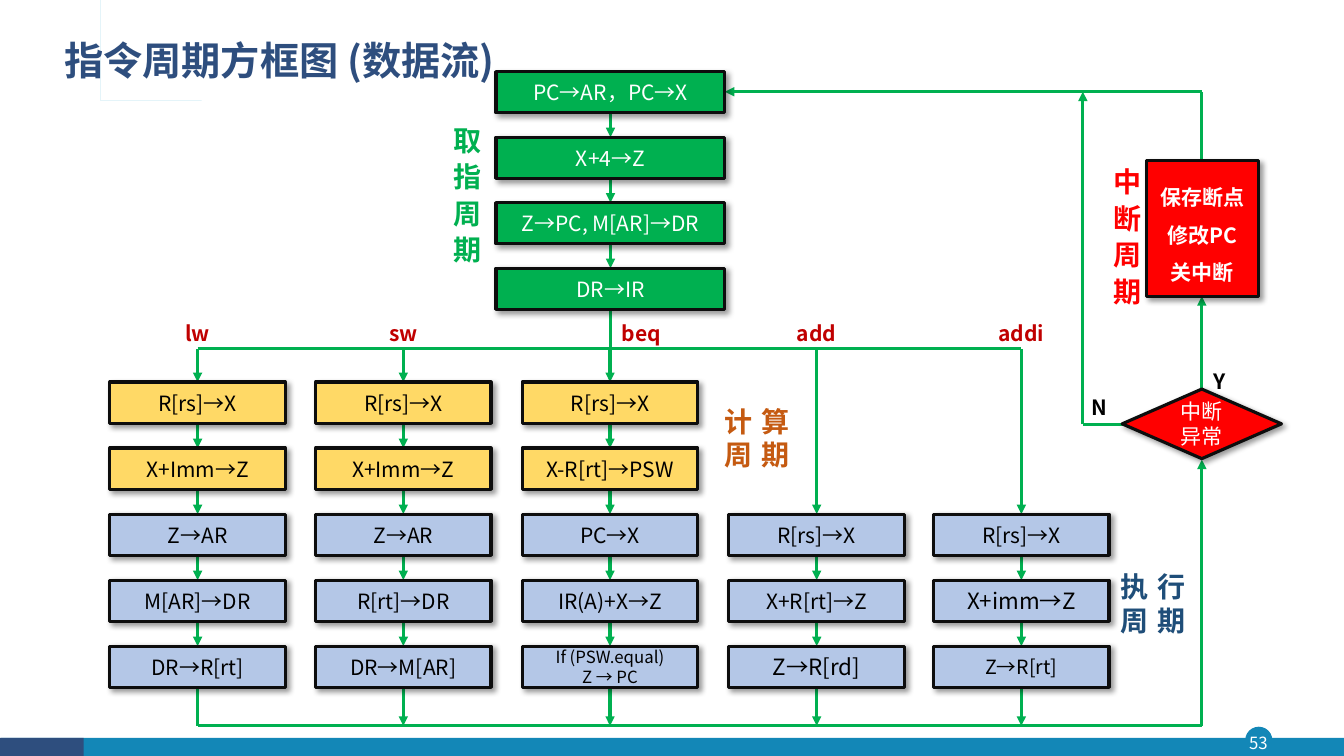
from itertools import pairwise

from lxml.etree import SubElement
from pptx import Presentation
from pptx.dml.color import RGBColor
from pptx.enum.shapes import MSO_CONNECTOR, MSO_SHAPE
from pptx.enum.text import MSO_ANCHOR, MSO_AUTO_SIZE, PP_ALIGN
from pptx.oxml.ns import qn
from pptx.util import Inches, Pt

FONT = "Noto Sans CJK SC"
WHITE = RGBColor(0xFF, 0xFF, 0xFF)
BLACK = RGBColor(0x00, 0x00, 0x00)
OUTLINE = RGBColor(0x0D, 0x0D, 0x0D)
NAVY = RGBColor(0x2E, 0x4E, 0x7E)
TEAL = RGBColor(0x13, 0x87, 0xB7)
SKY = RGBColor(0x28, 0xA9, 0xD6)
GREEN = RGBColor(0x00, 0xB0, 0x50)
YELLOW = RGBColor(0xFF, 0xD9, 0x66)
PALE_BLUE = RGBColor(0xB4, 0xC7, 0xE7)
RED = RGBColor(0xFF, 0x00, 0x00)
DARK_RED = RGBColor(0xC0, 0x00, 0x00)
ORANGE = RGBColor(0xC5, 0x5A, 0x11)
DEEP_BLUE = RGBColor(0x1F, 0x4E, 0x79)

BOX_H = 0.41
FETCH_LEFT, FETCH_TOP, FETCH_W, FETCH_STEP = 4.92, 0.71, 2.27, 0.65
FETCH_MID = FETCH_LEFT + FETCH_W / 2
STEP_W, ROW_TOP, ROW_STEP = 1.74, 3.79, 0.655
BRANCH_Y, RETURN_Y = 3.46, 7.2
INTERRUPT_X, BYPASS_X, BACK_Y = 11.92, 10.74, 0.91

FETCH_STEPS = ["PC→AR，PC→X", "X+4→Z", "Z→PC, M[AR]→DR", "DR→IR"]

# Instruction, left edge, label shift, first row, steps as (text, size)
INSTRUCTIONS = [
    ("lw", 1.09, 0, 0, [("R[rs]→X", 15), ("X+Imm→Z", 15), ("Z→AR", 15),
                        ("M[AR]→DR", 15), ("DR→R[rt]", 15)]),
    ("sw", 3.13, 0, 0, [("R[rs]→X", 15), ("X+Imm→Z", 15), ("Z→AR", 15),
                        ("R[rt]→DR", 15), ("DR→M[AR]", 15)]),
    ("beq", 5.18, 0.31, 0, [("R[rs]→X", 15), ("X-R[rt]→PSW", 15), ("PC→X", 15),
                            ("IR(A)+X→Z", 15), ("If (PSW.equal)\nZ → PC", 12)]),
    ("add", 7.23, 0, 2, [("R[rs]→X", 15), ("X+R[rt]→Z", 15), ("Z→R[rd]", 16)]),
    ("addi", 9.26, 0, 2, [("R[rs]→X", 15), ("X+imm→Z", 16), ("Z→R[rt]", 14)]),
]


def write(shape, text, size, color, bold=False, align=PP_ALIGN.CENTER,
          spacing=None, tracking=0):
    frame = shape.text_frame
    frame.text = text
    for paragraph in frame.paragraphs:
        paragraph.alignment = align
        paragraph.line_spacing = spacing
        font = paragraph.runs[0].font
        font.color.rgb = color
        for name, value in {"name": FONT, "size": Pt(size), "bold": bold}.items():
            setattr(font, name, value)
    # East Asian typeface and letter spacing
    for props in shape.element.iter(qn("a:rPr")):
        SubElement(props, qn("a:ea"), typeface=FONT)
        if tracking:
            props.set("spc", str(tracking * 100))


def add_label(slide, area, text, size, color, vertical=False, wrap=True,
              anchor=MSO_ANCHOR.TOP, fit=MSO_AUTO_SIZE.SHAPE_TO_FIT_TEXT, **style):
    label = slide.shapes.add_textbox(*map(Inches, area))
    write(label, text, size, color, **style)
    settings = {"word_wrap": wrap, "auto_size": fit, "vertical_anchor": anchor}
    for name, value in settings.items():
        setattr(label.text_frame, name, value)
    if vertical:
        next(label.element.iter(qn("a:bodyPr"))).set("vert", "eaVert")
    return label


def add_plain(slide, kind, area, fill):
    shape = slide.shapes.add_shape(kind, *map(Inches, area))
    shape.shadow.inherit = False
    shape.fill.solid()
    shape.fill.fore_color.rgb = fill
    shape.line.fill.background()
    return shape


def add_box(slide, area, text, fill, size=15, color=WHITE, kind=MSO_SHAPE.RECTANGLE,
            **style):
    box = add_plain(slide, kind, area, fill)
    box.line.color.rgb = OUTLINE
    box.line.width = Pt(2.25)
    # Soft shadow to the lower right
    effects = next(box.element.iter(qn("a:effectLst")))
    shadow = SubElement(effects, qn("a:outerShdw"), blurRad=str(Pt(4)),
                        dist=str(Pt(3)), dir="2700000", algn="tl", rotWithShape="0")
    shade = SubElement(shadow, qn("a:srgbClr"), val="000000")
    SubElement(shade, qn("a:alpha"), val="40000")
    box.text_frame.vertical_anchor = MSO_ANCHOR.MIDDLE
    box.text_frame.word_wrap = True
    write(box, text, size, color, **style)


def add_flow(slide, x1, y1, x2, y2, arrow=True):
    flow = slide.shapes.add_connector(MSO_CONNECTOR.STRAIGHT,
                                      *map(Inches, (x1, y1, x2, y2)))
    flow.line.color.rgb = GREEN
    flow.line.width = Pt(2.25)
    if arrow:
        SubElement(next(flow.element.iter(qn("a:ln"))), qn("a:tailEnd"), type="triangle")
    SubElement(next(flow.element.iter(qn("p:spPr"))), qn("a:effectLst"))


def add_stack(slide, left, width, tops, steps, fills, color):
    middle = left + width / 2
    for upper, lower in pairwise(tops):
        add_flow(slide, middle, upper + BOX_H, middle, lower)
    for top, (text, size), fill in zip(tops, steps, fills):
        add_box(slide, (left, top, width, BOX_H), text, fill, size, color)


def add_frame(slide):
    # Footer with page number
    add_plain(slide, MSO_SHAPE.OVAL, (12.35, 7.21, 0.27, 0.27), TEAL)
    add_plain(slide, MSO_SHAPE.RECTANGLE, (0.01, 7.32, 13.32, 0.19), TEAL)
    add_plain(slide, MSO_SHAPE.RECTANGLE, (0, 7.32, 0.83, 0.19), NAVY)
    number = add_label(slide, (12.32, 7.21, 0.32, 0.31), "53", 12, WHITE,
                       anchor=MSO_ANCHOR.MIDDLE, fit=MSO_AUTO_SIZE.NONE)
    for side in ("left", "top", "right", "bottom"):
        setattr(number.text_frame, f"margin_{side}", 0)

    # Title ornament
    corners = [(0.54, 0.85), (1.87, 0.85), (1.87, 0.87), (0.52, 0.87), (0.52, 0.41),
               (0.47, 0.41), (0.47, 0.87), (0.36, 0.87), (0.36, 0.39), (0.39, 0.39),
               (0.39, 0.84), (0.44, 0.84), (0.44, 0.39)]
    builder = slide.shapes.build_freeform(0.54, 0.39, scale=Inches(1))
    builder.add_line_segments(corners, close=True)
    ornament = builder.convert_to_shape()
    ornament.shadow.inherit = False
    ornament.fill.solid()
    ornament.fill.fore_color.rgb = SKY
    ornament.line.fill.background()

    add_label(slide, (0.54, 0.28, 4.61, 0.68), "指令周期方框图 (数据流)", 28, NAVY,
              anchor=MSO_ANCHOR.MIDDLE, fit=MSO_AUTO_SIZE.NONE, bold=True,
              align=PP_ALIGN.LEFT, spacing=0.9)


def add_instructions(slide):
    add_flow(slide, 1.96, BRANCH_Y, 10.13, BRANCH_Y, arrow=False)
    add_flow(slide, FETCH_MID, 3.07, FETCH_MID, BRANCH_Y, arrow=False)
    for name, left, shift, first_row, steps in INSTRUCTIONS:
        middle = left + STEP_W / 2
        tops = [ROW_TOP + ROW_STEP * row for row in range(first_row, 5)]
        fills = [YELLOW, YELLOW, PALE_BLUE, PALE_BLUE, PALE_BLUE][first_row:]
        add_label(slide, (middle + shift - 0.55, 3.13, 1.1, 0.35), name, 15, DARK_RED,
                  bold=True)
        add_flow(slide, middle, BRANCH_Y, middle, tops[0])
        add_flow(slide, middle, tops[-1] + BOX_H, middle, RETURN_Y, arrow=name != "lw")
        add_stack(slide, left, STEP_W, tops, steps, fills, BLACK)


def add_interrupt(slide):
    # Return path up to the interrupt check
    add_flow(slide, 1.96, RETURN_Y, INTERRUPT_X, RETURN_Y, arrow=False)
    add_flow(slide, INTERRUPT_X, RETURN_Y, INTERRUPT_X, 4.56)
    # Yes branch through the interrupt cycle
    add_flow(slide, INTERRUPT_X, 3.87, INTERRUPT_X, 2.94)
    add_flow(slide, INTERRUPT_X, 1.59, INTERRUPT_X, BACK_Y, arrow=False)
    add_flow(slide, INTERRUPT_X, BACK_Y, FETCH_LEFT + FETCH_W, BACK_Y)
    # No branch straight back to fetch
    add_flow(slide, 11.18, 4.21, BYPASS_X, 4.21, arrow=False)
    add_flow(slide, BYPASS_X, 4.21, BYPASS_X, BACK_Y)
    for answer, left, top in [("Y", 11.94, 3.61), ("N", 10.73, 3.86)]:
        add_label(slide, (left, top, 0.42, 0.35), answer, 15, BLACK, bold=True,
                  align=PP_ALIGN.LEFT)
    add_box(slide, (11.37, 1.59, 1.11, 1.35), "保存断点\n修改PC\n关中断", RED,
            bold=True, spacing=1.5)
    add_box(slide, (11.13, 3.86, 1.58, 0.69), "中断异常", RED,
            kind=MSO_SHAPE.FLOWCHART_DECISION)


def main():
    deck = Presentation()
    deck.slide_width, deck.slide_height = Inches(13.33), Inches(7.5)
    slide = deck.slides.add_slide(deck.slide_layouts[6])
    add_frame(slide)
    add_interrupt(slide)
    add_instructions(slide)

    # Fetch cycle
    tops = [FETCH_TOP + FETCH_STEP * row for row in range(len(FETCH_STEPS))]
    add_stack(slide, FETCH_LEFT, FETCH_W, tops, [(text, 15) for text in FETCH_STEPS],
              [GREEN] * len(tops), WHITE)

    # Cycle names
    for text, area, color, vertical in [
        ("取指周期", (4.3, 1.16, 0.54, 1.56), GREEN, True),
        ("中断周期", (10.85, 1.57, 0.54, 1.56), RED, True),
        ("计算\n周期", (7.09, 3.96, 0.93, 0.77), ORANGE, False),
        ("执行\n周期", (11.02, 5.6, 0.93, 0.77), DEEP_BLUE, False),
    ]:
        add_label(slide, area, text, 20, color, vertical, wrap=False, bold=True,
                  align=PP_ALIGN.LEFT, tracking=6)

    deck.save("out.pptx")


if __name__ == "__main__":
    main()
